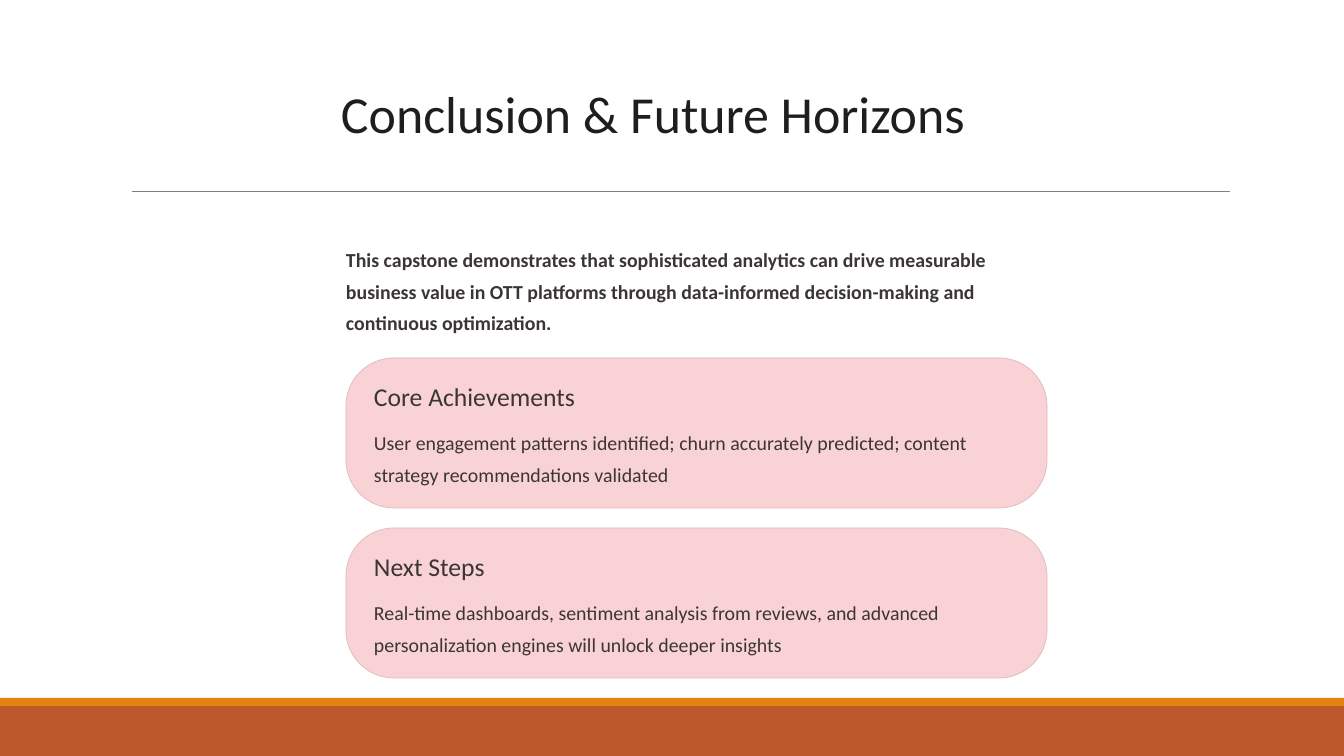
from dataclasses import dataclass

from lxml import etree
from pptx import Presentation
from pptx import util as u
from pptx.dml.color import RGBColor
from pptx.enum import shapes, text
from pptx.oxml.ns import qn

PX_PER_INCH = 84
FONT = "Calibri"

WHITE = RGBColor(0xFF, 0xFF, 0xFF)
RUST = RGBColor(0xBD, 0x58, 0x2C)
ORANGE = RGBColor(0xE4, 0x83, 0x12)
GRAY = RGBColor(0x80, 0x80, 0x80)
TITLE_INK = RGBColor(0x1F, 0x1E, 0x1E)
BODY_INK = RGBColor(0x3B, 0x35, 0x35)
PINK = RGBColor(0xF9, 0xD2, 0xD6)
PINK_EDGE = RGBColor(0xDF, 0xB8, 0xBC)


@dataclass(frozen=True)
class Box:
    left: int
    top: int
    width: int
    height: int

    def emu(self) -> tuple[u.Length, ...]:
        return px(self.left), px(self.top), px(self.width), px(self.height)


@dataclass(frozen=True)
class TextStyle:
    size: float
    line: float
    color: RGBColor = BODY_INK
    bold: bool = False
    wrap: bool = True


@dataclass(frozen=True)
class Band:
    box: Box
    color: RGBColor


@dataclass(frozen=True)
class Card:
    heading: str
    body: str


TITLE = TextStyle(44.5, 56, TITLE_INK)
INTRO = TextStyle(17, 27, bold=True)
HEADING = TextStyle(22, 28, wrap=False)
BODY = TextStyle(17, 27)

BANDS = [
    Band(Box(0, 706, 1344, 50), RUST),
    Band(Box(0, 698, 1344, 8), ORANGE),
]
CARDS = [
    Card("Core Achievements",
         "User engagement patterns identified; churn accurately predicted; "
         "content strategy recommendations validated"),
    Card("Next Steps",
         "Real-time dashboards, sentiment analysis from reviews, and advanced "
         "personalization engines will unlock deeper insights"),
]
CARD_LEFT, CARD_TOP, CARD_WIDTH, CARD_HEIGHT = 346, 358, 701, 150
CARD_PITCH = 170
CARD_INSET = 28


def px(value: int) -> u.Length:
    return u.Inches(value / PX_PER_INCH)


def write_text(shape, content: str, style: TextStyle) -> None:
    frame = shape.text_frame
    frame.margin_left = frame.margin_top = frame.margin_right = frame.margin_bottom = 0
    frame.vertical_anchor = text.MSO_ANCHOR.TOP
    frame.auto_size = text.MSO_AUTO_SIZE.NONE
    frame.word_wrap = style.wrap
    frame.text = content
    paragraph = frame.paragraphs[0]
    paragraph.alignment = text.PP_ALIGN.LEFT
    paragraph.line_spacing = u.Pt(style.line)
    font = paragraph.runs[0].font
    font.name, font.size, font.bold = FONT, u.Pt(style.size), style.bold
    font.color.rgb = style.color


def add_text(slide, box: Box, content: str, style: TextStyle) -> None:
    write_text(slide.shapes.add_textbox(*box.emu()), content, style)


def add_filled(slide, kind: shapes.MSO_SHAPE, box: Box, color: RGBColor):
    shape = slide.shapes.add_shape(kind, *box.emu())
    shape.shadow.inherit = False
    shape.fill.solid()
    shape.fill.fore_color.rgb = color
    shape.line.fill.background()
    return shape


def add_rule(slide, left: int, right: int, top: int) -> None:
    rule = slide.shapes.add_connector(
        shapes.MSO_CONNECTOR.STRAIGHT, px(left), px(top), px(right), px(top))
    rule.line.color.rgb = GRAY
    rule.line.width = u.Pt(0.5)
    etree.SubElement(rule._element.spPr, qn("a:effectLst"))


def add_card(slide, card: Card, top: int) -> None:
    panel = add_filled(slide, shapes.MSO_SHAPE.ROUNDED_RECTANGLE,
                       Box(CARD_LEFT, top, CARD_WIDTH, CARD_HEIGHT), PINK)
    panel.adjustments[0] = 0.32
    panel.line.color.rgb = PINK_EDGE
    panel.line.width = u.Pt(0.6)
    left = CARD_LEFT + CARD_INSET
    add_text(slide, Box(left, top + 21, 264, 33), card.heading, HEADING)
    add_text(slide, Box(left, top + 65, 659, 64), card.body, BODY)


def main() -> None:
    presentation = Presentation()
    presentation.slide_width, presentation.slide_height = px(1344), px(756)
    slide = presentation.slides.add_slide(presentation.slide_layouts[5])
    slide.background.fill.solid()
    slide.background.fill.fore_color.rgb = WHITE

    # Footer bands and title rule
    for band in BANDS:
        add_filled(slide, shapes.MSO_SHAPE.RECTANGLE, band.box, band.color)
    add_rule(slide, 132, 1230, 191)

    # Title and introduction
    title = slide.shapes.title
    title.left, title.top, title.width, title.height = Box(341, 79, 701, 131).emu()
    write_text(title, "Conclusion & Future Horizons", TITLE)
    add_text(slide, Box(CARD_LEFT, 240, CARD_WIDTH, 96),
             "This capstone demonstrates that sophisticated analytics can drive "
             "measurable business value in OTT platforms through data-informed "
             "decision-making and continuous optimization.", INTRO)

    # Cards
    for index, card in enumerate(CARDS):
        add_card(slide, card, CARD_TOP + index * CARD_PITCH)

    presentation.save("out.pptx")


if __name__ == "__main__":
    main()
